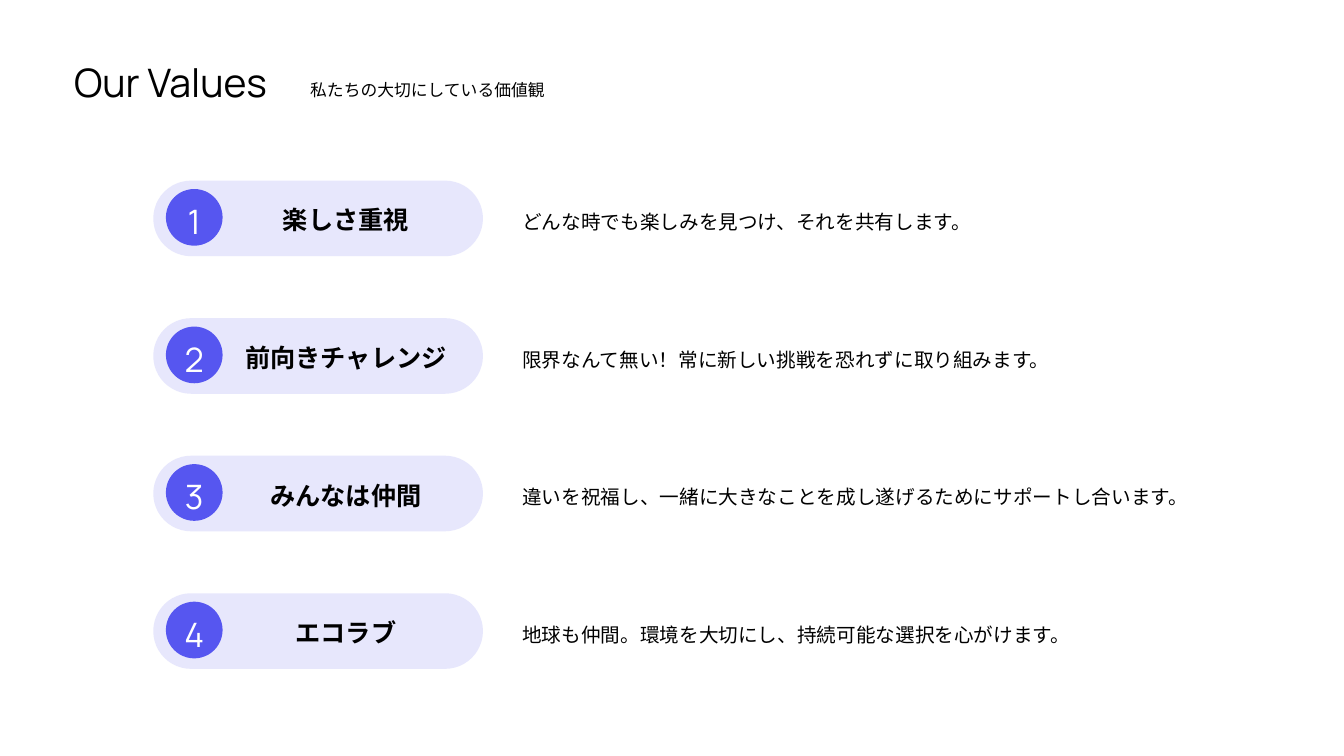
from lxml import etree
from pptx import Presentation
from pptx.dml.color import RGBColor
from pptx.enum.shapes import MSO_SHAPE
from pptx.enum.text import MSO_ANCHOR, PP_ALIGN
from pptx.oxml.ns import qn
from pptx.util import Pt

PX = 9525
PILL, DISC = MSO_SHAPE.ROUNDED_RECTANGLE, MSO_SHAPE.OVAL
TOP, MIDDLE = MSO_ANCHOR.TOP, MSO_ANCHOR.MIDDLE
LEFT, CENTER = PP_ALIGN.LEFT, PP_ALIGN.CENTER
COLORS = {"accent": "5656F0", "text": "000000", "white": "FFFFFF"}
VALUES = [
    ("楽しさ重視", "どんな時でも楽しみを見つけ、それを共有します。"),
    ("前向きチャレンジ", "限界なんて無い！常に新しい挑戦を恐れずに取り組みます。"),
    ("みんなは仲間", "違いを祝福し、一緒に大きなことを成し遂げるためにサポートし合います。"),
    ("エコラブ", "地球も仲間。環境を大切にし、持続可能な選択を心がけます。"),
]
ROW = 131


def write(shape, text, size, font="Karla", color="text", bold=False,
          align=LEFT, anchor=TOP, inset=5, spacing=None):
    frame = shape.text_frame
    frame.word_wrap = True
    frame.vertical_anchor = anchor
    frame.margin_top = inset * PX
    para = frame.paragraphs[0]
    para.alignment = align
    para.line_spacing = spacing
    run = para.add_run()
    run.text = text
    run.font.size = Pt(size)
    run.font.name = font
    run.font.bold = bold
    run.font.color.rgb = RGBColor.from_string(COLORS[color])


def draw(kind, *box):
    """Add an accent-filled shape without line or shadow."""
    shape = shapes.add_shape(kind, *(n * PX for n in box))
    shape.shadow.inherit = False
    shape.fill.solid()
    shape.fill.fore_color.rgb = RGBColor.from_string(COLORS["accent"])
    shape.line.fill.background()
    return shape


deck = Presentation()
deck.slide_width, deck.slide_height = 1280 * PX, 720 * PX
slide = deck.slides.add_slide(deck.slide_layouts[5])
shapes = slide.shapes

title = shapes.title
title.left, title.top, title.width, title.height = (n * PX for n in (61, 51, 225, 55))
write(title, "Our Values", 28, font="Manrope")
tagline = shapes.add_textbox(*(n * PX for n in (286, 71, 403, 29)))
write(tagline, "私たちの大切にしている価値観", 12)

for i, (name, detail) in enumerate(VALUES):
    y = 172 + i * ROW
    pill = draw(PILL, 146, y, 314, 72)
    pill.adjustments[0] = 0.5
    tint = pill.fill._xPr.find(".//" + qn("a:srgbClr"))
    etree.SubElement(tint, qn("a:alpha"), val="14000")

    disc = draw(DISC, 158, y + 8, 54, 54)
    write(disc, str(i + 1), 24, font="Manrope", color="white",
          align=CENTER, anchor=MIDDLE, inset=12)

    label = shapes.add_textbox(*(n * PX for n in (221, y + 18, 217, 38)))
    write(label, name, 18, bold=True, align=CENTER)
    note = shapes.add_textbox(*(n * PX for n in (488, y + 12, 661, 40)))
    write(note, detail, 14, spacing=1.5)

deck.save("out.pptx")
